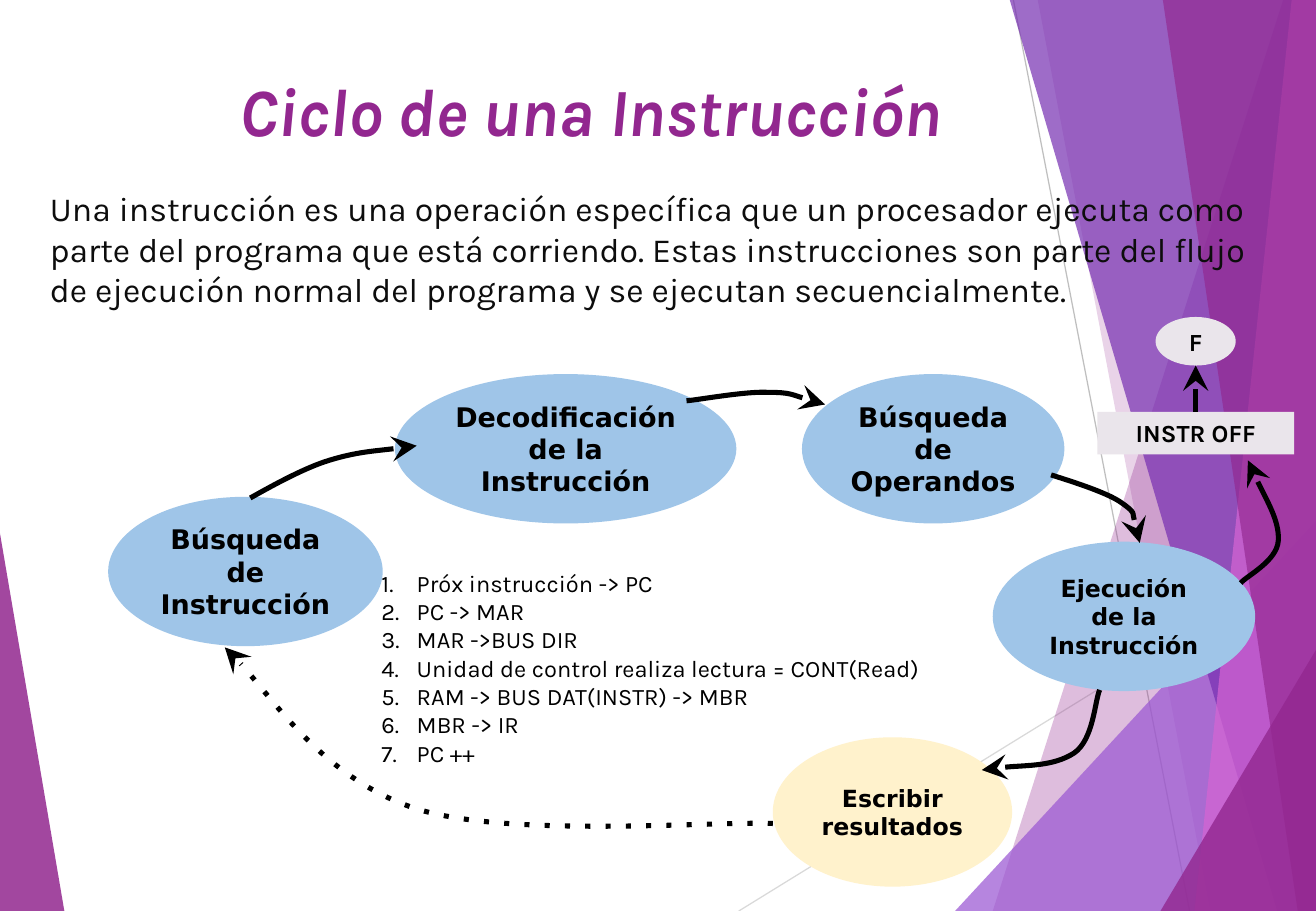
from lxml.etree import SubElement
from pptx import Presentation
from pptx.dml.color import RGBColor
from pptx.enum.shapes import MSO_CONNECTOR, MSO_SHAPE
from pptx.enum.text import MSO_ANCHOR, MSO_AUTO_SIZE, PP_ALIGN
from pptx.oxml.ns import qn
from pptx.util import Inches, Pt

BLACK = RGBColor(0x00, 0x00, 0x00)
INK = RGBColor(0x0D, 0x0D, 0x0D)
PURPLE = RGBColor(0x92, 0x27, 0x8F)
LILAC = RGBColor(0x9B, 0x57, 0xD3)
VIOLET = RGBColor(0x76, 0x2E, 0xB1)
PINK = RGBColor(0xD6, 0x65, 0xD3)
BLUE = RGBColor(0x9F, 0xC5, 0xE8)
CREAM = RGBColor(0xFF, 0xF2, 0xCC)
MIST = RGBColor(0xEA, 0xE5, 0xEB)
GREY = RGBColor(0xBF, 0xBF, 0xBF)
PALE_GREY = RGBColor(0xD9, 0xD9, 0xD9)

WIDTH, HEIGHT = 10.83, 7.5

# Facets of the backdrop, back to front: colour, opacity in %, corners
LEFT_FACET = (PURPLE, 85, [(0, 4.39), (0.53, HEIGHT), (0, HEIGHT)])
RIGHT_FACETS = [
    (PURPLE, 30, [(10.56, 0), (8.17, HEIGHT), (WIDTH, HEIGHT), (WIDTH, 0)]),
    (PURPLE, 20, [(8.54, 0), (9.96, HEIGHT), (WIDTH, HEIGHT), (WIDTH, 0)]),
    (LILAC, 72, [(7.86, HEIGHT), (WIDTH, 4.29), (WIDTH, HEIGHT)]),
    (VIOLET, 70, [(8.31, 0), (10.51, HEIGHT), (WIDTH, HEIGHT), (WIDTH, 0)]),
    (PINK, 70, [(10.63, 0), (9.83, HEIGHT), (WIDTH, HEIGHT), (WIDTH, 0)]),
    (PURPLE, 65, [(9.57, 0), (10.68, HEIGHT), (WIDTH, HEIGHT), (WIDTH, 0)]),
    (PURPLE, 80, [(9.55, HEIGHT), (WIDTH, 5.35), (WIDTH, HEIGHT)]),
]

# Stages of the cycle: text, box, colour, text size
STAGE_HEIGHT = 1.23
STAGES = [
    ("Decodificación de la Instrucción", 3.25, 3.08, 2.81, BLUE, 16),
    ("Búsqueda de Instrucción", 0.89, 4.09, 2.26, BLUE, 16),
    ("Búsqueda de Operandos", 6.6, 3.08, 2.16, BLUE, 16),
    ("Ejecución de la Instrucción", 8.17, 4.46, 2.16, BLUE, 14),
    ("Escribir resultados", 6.36, 6.07, 1.97, CREAM, 14),
]

# Each arrow: a start, then three Bézier points per segment
ARROWS = [
    [(2.06, 4.1), (2.17, 4.04), (2.48, 3.86), (2.71, 3.79),
     (2.94, 3.72), (3.31, 3.69), (3.43, 3.67)],
    [(5.65, 3.3), (5.76, 3.29), (6.14, 3.22), (6.32, 3.23),
     (6.51, 3.23), (6.71, 3.31), (6.79, 3.33)],
    [(8.65, 3.91), (8.74, 3.94), (9.11, 4.05), (9.23, 4.14),
     (9.36, 4.23), (9.36, 4.41), (9.38, 4.47)],
    [(9.05, 5.68), (9.01, 5.77), (9, 6.09), (8.84, 6.2),
     (8.67, 6.31), (8.2, 6.31), (8.08, 6.34)],
    [(10.21, 4.8), (10.26, 4.74), (10.51, 4.62), (10.52, 4.45),
     (10.53, 4.29), (10.31, 3.9), (10.27, 3.79)],
]
RETURN_ARROW = [(6.36, 6.78), (5.87, 6.76), (4.19, 6.9), (3.43, 6.66),
                (2.68, 6.42), (2.11, 5.56), (1.85, 5.33)]

FETCH_STEPS = [
    "Próx instrucción -> PC",
    "PC -> MAR",
    "MAR ->BUS DIR",
    "Unidad de control realiza lectura = CONT(Read)",
    "RAM -> BUS DAT(INSTR) -> MBR",
    "MBR -> IR",
    "PC ++",
]
DEFINITION = (
    "Una instrucción es una operación específica que un procesador ejecuta como "
    "parte del programa que está corriendo. Estas instrucciones son parte del flujo "
    "de ejecución normal del programa y se ejecutan secuencialmente."
)


class CycleSlide:
    text_font, stage_font = "Karla", "DejaVu Sans"
    inset = Inches(0.08)

    def __init__(self, deck):
        self.slide = deck.slides.add_slide(deck.slide_layouts[5])
        self.shapes = self.slide.shapes

    def styled_run(self, paragraph, text, size, color=BLACK, font=text_font, bold=False, italic=False):
        run = paragraph.add_run()
        run.text = text
        style = run.font
        style.name, style.size, style.bold, style.italic = font, Pt(size), bold, italic
        style.color.rgb = color

    def pad(self, frame):
        frame.word_wrap = True
        frame.margin_left = frame.margin_right = self.inset
        frame.margin_top = frame.margin_bottom = self.inset

    def title(self, text, left, top, width, height):
        heading = self.shapes.title
        heading.left, heading.top = Inches(left), Inches(top)
        heading.width, heading.height = Inches(width), Inches(height)
        frame = heading.text_frame
        frame.vertical_anchor = MSO_ANCHOR.TOP
        frame.auto_size = MSO_AUTO_SIZE.SHAPE_TO_FIT_TEXT
        paragraph = frame.paragraphs[0]
        paragraph.alignment = PP_ALIGN.CENTER
        self.styled_run(paragraph, text, 40, PURPLE, bold=True, italic=True)
        # Bring the title in front of the backdrop
        self.shapes._spTree.append(heading._element)

    def outline(self, points, close):
        corners = [(Inches(x), Inches(y)) for x, y in points]
        builder = self.shapes.build_freeform(*corners[0])
        builder.add_line_segments(corners[1:], close=close)
        shape = builder.convert_to_shape()
        shape.shadow.inherit = False
        return shape

    def facet(self, color, opacity, points):
        shape = self.outline(points, close=True)
        shape.fill.solid()
        shape.fill.fore_color.rgb = color
        shape.line.fill.background()
        tint = shape._element.spPr.find(qn("a:solidFill")).find(qn("a:srgbClr"))
        SubElement(tint, qn("a:alpha"), val=str(opacity * 1000))

    def stroke(self, line, color, weight, arrow=False, dotted=False):
        line.color.rgb = color
        line.width = Pt(weight)
        ln = line._get_or_add_ln()
        if dotted:
            SubElement(ln, qn("a:prstDash"), val="dot")
        if arrow:
            SubElement(ln, qn("a:tailEnd"), type="stealth", w="lg", len="lg")

    def curve(self, points, dotted=False):
        shape = self.outline(points, close=False)
        shape.fill.background()
        # Turn every three straight segments into one Bézier segment
        segments = list(shape._element.iter(qn("a:lnTo")))
        for start in range(0, len(segments), 3):
            bezier = SubElement(segments[start].getparent(), qn("a:cubicBezTo"))
            for segment in segments[start:start + 3]:
                bezier.append(segment[0])
                segment.getparent().remove(segment)
        self.stroke(shape.line, BLACK, 3, arrow=True, dotted=dotted)

    def line(self, start, end, color, weight, arrow=False):
        ends = [Inches(value) for value in (*start, *end)]
        connector = self.shapes.add_connector(MSO_CONNECTOR.STRAIGHT, *ends)
        self.stroke(connector.line, color, weight, arrow)
        SubElement(connector._element.spPr, qn("a:effectLst"))

    def node(self, kind, text, left, top, width, height, fill, size, font=text_font):
        shape = self.shapes.add_shape(kind, Inches(left), Inches(top), Inches(width), Inches(height))
        shape.shadow.inherit = False
        shape.fill.solid()
        shape.fill.fore_color.rgb = fill
        shape.line.fill.background()
        frame = shape.text_frame
        self.pad(frame)
        frame.vertical_anchor = MSO_ANCHOR.MIDDLE
        paragraph = frame.paragraphs[0]
        paragraph.alignment = PP_ALIGN.CENTER
        self.styled_run(paragraph, text, size, font=font, bold=True)

    def text(self, lines, left, top, width, height, size, color=BLACK, numbered=False):
        box = self.shapes.add_textbox(Inches(left), Inches(top), Inches(width), Inches(height))
        frame = box.text_frame
        self.pad(frame)
        for index, content in enumerate(lines):
            paragraph = frame.add_paragraph() if index else frame.paragraphs[0]
            if numbered:
                self.number(paragraph)
            self.styled_run(paragraph, content, size, color)

    def number(self, paragraph):
        props = paragraph._p.get_or_add_pPr()
        props.set("marL", str(Inches(0.41)))
        props.set("indent", str(Inches(-0.29)))
        SubElement(SubElement(props, qn("a:buClr")), qn("a:srgbClr"), val=str(BLACK))
        SubElement(props, qn("a:buFont"), typeface=self.text_font)
        SubElement(props, qn("a:buAutoNum"), type="arabicPeriod")


def main():
    deck = Presentation()
    deck.slide_width, deck.slide_height = Inches(WIDTH), Inches(HEIGHT)
    cycle = CycleSlide(deck)

    # Backdrop
    cycle.facet(*LEFT_FACET)
    cycle.line((6.08, HEIGHT), (WIDTH, 4.57), PALE_GREY, 0.75)
    cycle.line((8.34, 0), (9.79, HEIGHT), GREY, 0.75)
    for facet in RIGHT_FACETS:
        cycle.facet(*facet)

    # Title
    cycle.title("Ciclo de una Instrucción ", 0.77, 0.52, 8.3, 0.77)

    # Cycle stages and arrows
    for text, left, top, width, fill, size in STAGES:
        cycle.node(MSO_SHAPE.OVAL, text, left, top, width, STAGE_HEIGHT, fill, size, cycle.stage_font)
    for arrow in ARROWS:
        cycle.curve(arrow)
    cycle.curve(RETURN_ARROW, dotted=True)

    # Fetch steps and definition
    cycle.text(FETCH_STEPS, 2.94, 4.6, 4.86, 2, 14, numbered=True)
    cycle.text([DEFINITION], 0.33, 1.47, 10.19, 1.23, 20, INK)

    # Exit branch
    cycle.node(MSO_SHAPE.RECTANGLE, "INSTR OFF", 9.03, 3.39, 1.62, 0.35, MIST, 14.6)
    cycle.node(MSO_SHAPE.OVAL, "F", 9.51, 2.61, 0.66, 0.4, MIST, 14.6)
    cycle.line((9.84, 3.39), (9.84, 3.01), BLACK, 3, arrow=True)

    deck.save("out.pptx")


if __name__ == "__main__":
    main()
